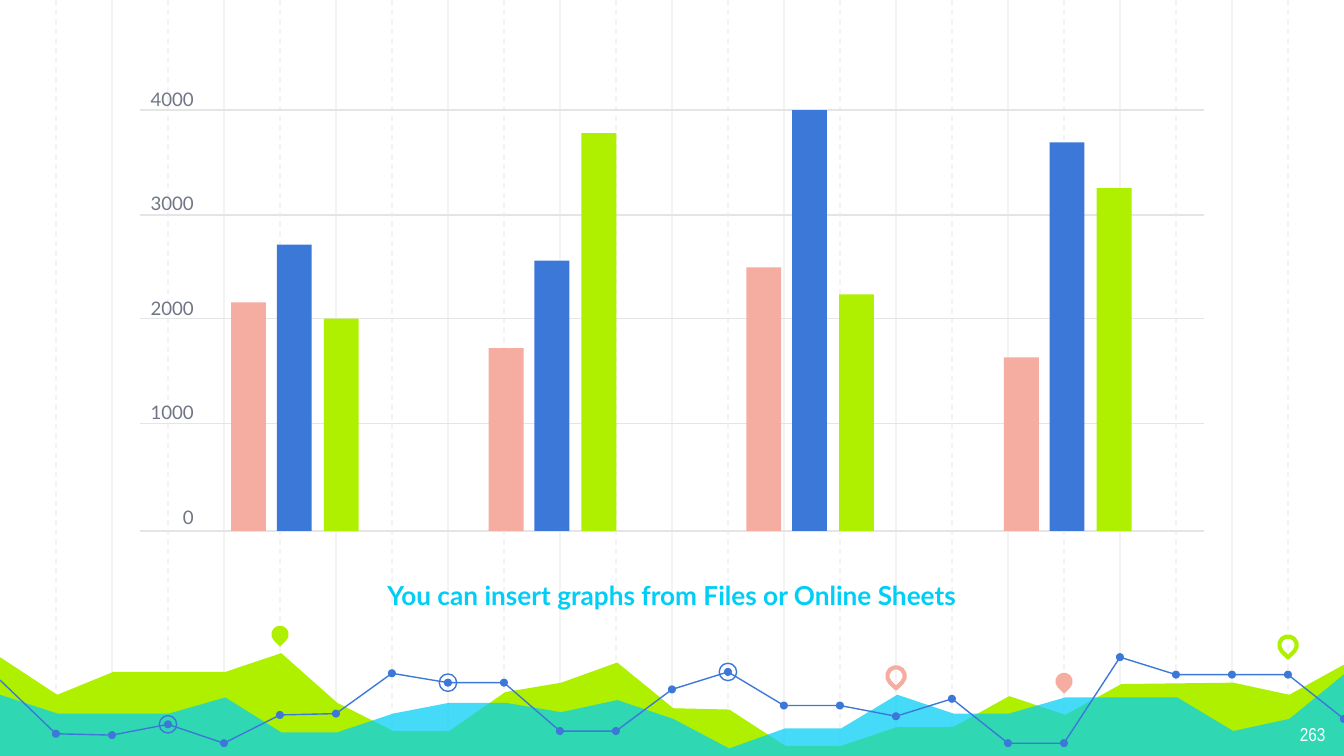
from lxml import etree
from pptx import Presentation
from pptx.dml.color import RGBColor
from pptx.enum.dml import MSO_LINE
from pptx.enum.shapes import MSO_CONNECTOR, MSO_SHAPE
from pptx.enum.text import MSO_ANCHOR, MSO_AUTO_SIZE, PP_ALIGN
from pptx.oxml.ns import qn
from pptx.util import Inches, Pt

RECTANGLE, OVAL, TEARDROP = MSO_SHAPE.RECTANGLE, MSO_SHAPE.OVAL, MSO_SHAPE.TEAR
STRAIGHT, DASH = MSO_CONNECTOR.STRAIGHT, MSO_LINE.DASH
CENTER, RIGHT = PP_ALIGN.CENTER, PP_ALIGN.RIGHT
TOP, NO_FIT = MSO_ANCHOR.TOP, MSO_AUTO_SIZE.NONE

WIDTH = 10
HEIGHT = WIDTH * 9 / 16
BLEED = 0.03
FLOOR = HEIGHT + BLEED
COLUMNS = 24
COLUMN = WIDTH / COLUMNS
PINK, BLUE, GREEN, CYAN = "F5ACA1", "3C78D8", "AFF000", "00CEF6"
GRID, RULE, LABEL, WHITE = "F3F3F3", "E5E5E5", "707685", "FFFFFF"

CAPTION = "You can insert graphs from Files or Online Sheets"
PAGE_NUMBER = "263"
AXIS_LABELS = ["4000", "3000", "2000", "1000", "0"]
RULE_HEIGHTS = [0.82, 1.6, 2.37, 3.15, 3.95]
BAR_OFFSETS = [0, 0.34, 0.69]
BAR_COLOURS = [PINK, BLUE, GREEN]
BAR_GROUPS = [(1.7, 2.13, 1.58), (1.36, 2.01, 2.96), (1.96, 3.13, 1.76), (1.29, 2.89, 2.55)]

GREEN_HILLS = {0: 4.87, 1: 5.17, 2: 5, 4: 5, 5: 4.86, 6: 5.23, 7: 5.44, 8: 5.44, 9: 5.15,
               10: 5.08, 11: 4.93, 12: 5.27, 13: 5.28, 14: 5.55, 15: 5.55, 16: 5.41,
               17: 5.41, 18: 5.18, 19: 5.32, 20: 5.09, 22: 5.08, 23: 5.17, 24: 4.94}
CYAN_HILLS = {0: 5.16, 1: 5.31, 3: 5.31, 4: 5.19, 5: 5.45, 6: 5.45, 7: 5.31, 8: 5.23,
              9: 5.23, 10: 5.3, 11: 5.21, 12: 5.35, 13: 5.57, 14: 5.42, 15: 5.42, 16: 5.17,
              17: 5.31, 18: 5.31, 19: 5.19, 21: 5.19, 22: 5.44, 23: 5.35, 24: 5.01}
TREND = [5.06, 5.46, 5.47, 5.39, 5.53, 5.32, 5.31, 5.01, 5.08, 5.08, 5.44, 5.44, 5.13, 5,
         5.25, 5.25, 5.33, 5.2, 5.53, 5.53, 4.89, 5.02, 5.02, 5.02, 5.35]
TREND_PARTS = [(0, 11), (11, 20), (20, 24)]
RINGED_COLUMNS = [8, 3, 13]
PINS = [(5, 4.72, GREEN, False), (16, 5.03, PINK, True),
        (19, 5.07, PINK, False), (23, 4.8, GREEN, True)]


def colour(value):
    return RGBColor.from_string(value)


def paint(shape, fill=None, line=None, weight=0.75):
    shape.shadow.inherit = False
    if fill:
        shape.fill.solid()
        shape.fill.fore_color.rgb = colour(fill)
    else:
        shape.fill.background()
    if line:
        shape.line.color.rgb = colour(line)
        shape.line.width = Pt(weight)
    else:
        shape.line.fill.background()


def add_shape(slide, kind, left, top, width, height, **style):
    shape = slide.shapes.add_shape(kind, *map(Inches, (left, top, width, height)))
    paint(shape, **style)
    return shape


def add_marker(slide, kind, column, middle, size, **style):
    left, top = column * COLUMN - size / 2, middle - size / 2
    return add_shape(slide, kind, left, top, size, size, **style)


def add_line(slide, start, end, line, dash=None):
    connector = slide.shapes.add_connector(STRAIGHT, *map(Inches, start + end))
    connector.line.color.rgb = colour(line)
    connector.line.width = Pt(0.75)
    if dash:
        connector.line.dash_style = dash
    etree.SubElement(connector._element.spPr, qn("a:effectLst"))


def add_path(slide, points, close, **style):
    corners = [(Inches(x), Inches(y)) for x, y in points]
    builder = slide.shapes.build_freeform(*corners[0], scale=1.0)
    builder.add_line_segments(corners[1:], close=close)
    shape = builder.convert_to_shape()
    paint(shape, **style)
    return shape


def add_hills(slide, heights, fill):
    ridge = [(column * COLUMN + 0.01 if column else -BLEED, height)
             for column, height in heights.items()]
    return add_path(slide, ridge + [(WIDTH + 0.01, FLOOR), (-BLEED, FLOOR)], True, fill=fill)


def write(shape, lines, box, inset, alignment, gap, font):
    shape.left, shape.top, shape.width, shape.height = map(Inches, box)
    frame = shape.text_frame
    frame_format = {"word_wrap": True, "auto_size": NO_FIT, "vertical_anchor": TOP}
    for side in ("left", "top", "right", "bottom"):
        frame_format[f"margin_{side}"] = Inches(inset)
    for name, value in frame_format.items():
        setattr(frame, name, value)
    frame.text = "\n".join(lines)
    for index, paragraph in enumerate(frame.paragraphs):
        paragraph.alignment = alignment
        paragraph.space_before = Pt(gap if index else 0)
        for name, value in font.items():
            if name == "color":
                paragraph.font.color.rgb = colour(value)
            else:
                setattr(paragraph.font, name, value)


def draw_background(slide):
    for first, dash in ((2, None), (1, DASH)):
        for column in range(first, COLUMNS, 2):
            x = column * COLUMN
            add_line(slide, (x, 0), (x, FLOOR), GRID, dash)


def draw_landscape(slide):
    add_hills(slide, GREEN_HILLS, GREEN)
    water = add_hills(slide, CYAN_HILLS, CYAN)
    tint = water._element.spPr.find(qn("a:solidFill"))[0]
    etree.SubElement(tint, qn("a:alpha"), val="73000")
    for column, middle, pin_colour, hollow in PINS:
        style = {"line": pin_colour, "weight": 2.25} if hollow else {"fill": pin_colour}
        add_marker(slide, TEARDROP, column, middle, 0.13, **style).rotation = 135
    for first, last in TREND_PARTS:
        points = [(column * COLUMN, TREND[column]) for column in range(first, last + 1)]
        add_path(slide, points, False, line=BLUE)
    for column, middle in enumerate(TREND[1:], 1):
        add_marker(slide, OVAL, column, middle, 0.06, fill=BLUE)
    for column in RINGED_COLUMNS:
        add_marker(slide, OVAL, column, TREND[column], 0.13, line=BLUE)


def move_to_layout(slide):
    decorations = [shape for shape in slide.shapes if not shape.is_placeholder]
    for number, shape in enumerate(decorations, 100):
        shape._element.xpath(".//p:cNvPr")[0].set("id", str(number))
        slide.slide_layout.shapes._spTree.append(shape._element)


def draw_bars(slide):
    left, base = 2.5 * COLUMN, RULE_HEIGHTS[-1]
    for y in RULE_HEIGHTS:
        add_line(slide, (left, y), (WIDTH - left, y), RULE)
    write(slide.shapes.add_textbox(0, 0, 0, 0), AXIS_LABELS, (left, 0.65, 0.4, 3.31), 0,
          RIGHT, 44, {"size": Pt(10), "name": "Lato", "color": LABEL})
    for group, heights in enumerate(BAR_GROUPS):
        group_left = 1.72 + group * 4.6 * COLUMN
        for offset, height, fill in zip(BAR_OFFSETS, heights, BAR_COLOURS):
            add_shape(slide, RECTANGLE, group_left + offset, base - height, 0.26, height,
                      fill=fill)


def main():
    presentation = Presentation()
    presentation.slide_width, presentation.slide_height = Inches(WIDTH), Inches(HEIGHT)
    slide = presentation.slides.add_slide(presentation.slide_layouts[5])
    draw_background(slide)
    draw_landscape(slide)
    move_to_layout(slide)
    write(slide.shapes.title, [CAPTION], (0.5, 4.21, 9, 0.57), 0.1, CENTER, 0,
          {"size": Pt(14), "name": "Lato", "color": CYAN, "bold": True})
    write(slide.shapes.add_textbox(0, 0, 0, 0), [PAGE_NUMBER], (9.36, 5.28, 0.6, 0.35), 0.1,
          RIGHT, 0, {"size": Pt(10), "name": "Arial Narrow", "color": WHITE})
    draw_bars(slide)
    presentation.save("out.pptx")


if __name__ == "__main__":
    main()
